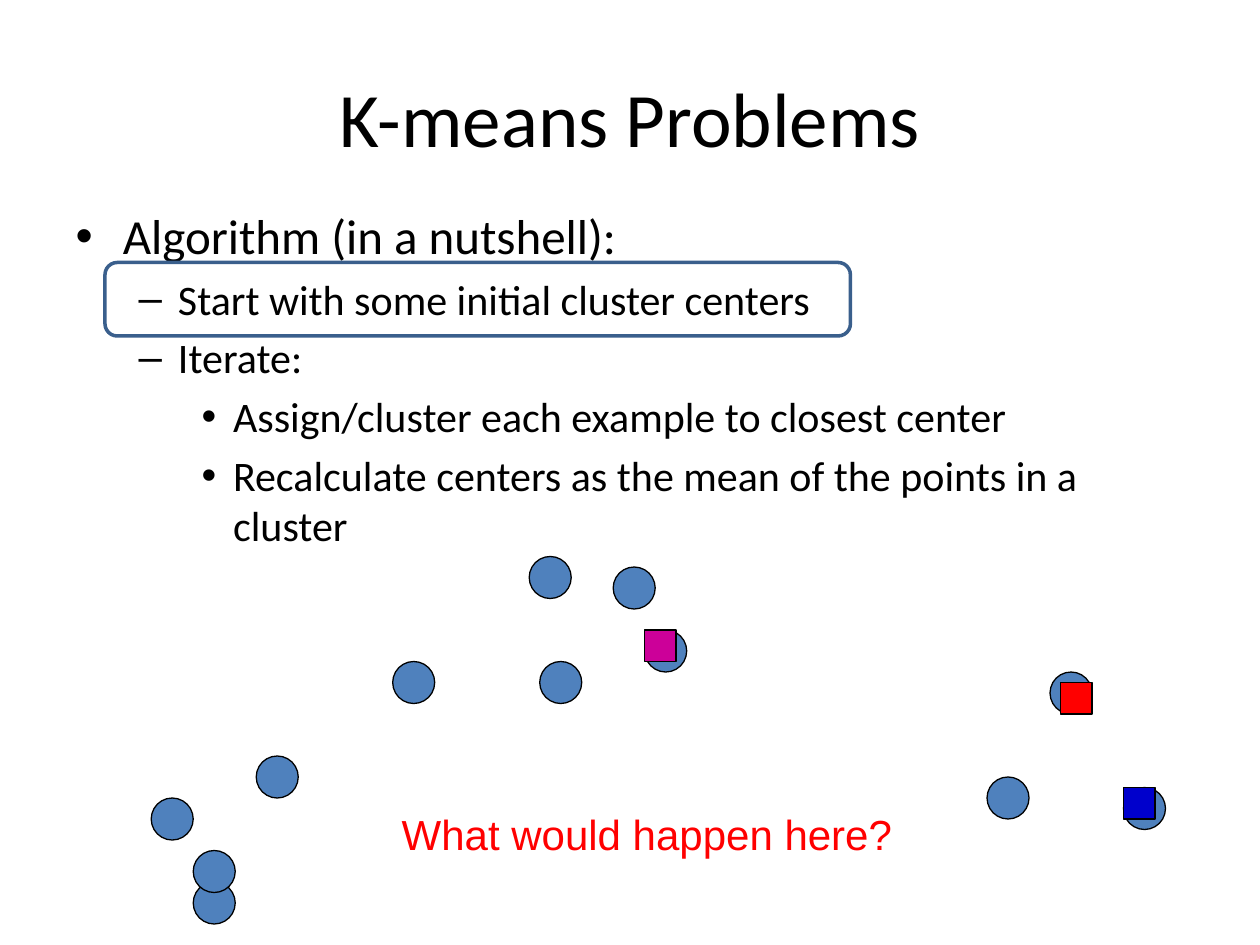
import pptx
import pptx.util
import pptx.dml.color
import pptx.enum.shapes
import pptx.enum.text

Pt = pptx.util.Pt
SHAPES = pptx.enum.shapes.MSO_SHAPE

COLORS = {
    "text": "000000",
    "outline": "000000",
    "highlight": "3A5F8C",
    "point": "4F81BD",
    "blue": "0000CC",
    "red": "FF0000",
    "magenta": "CC0099",
}
ALGORITHM = [
    (0, 28, "Algorithm (in a nutshell):"),
    (1, 24, "Start with some initial cluster centers"),
    (1, 24, "Iterate:"),
    (2, 24, "Assign/cluster each example to closest center"),
    (2, 24, "Recalculate centers as the mean of the points in a cluster"),
]
EXAMPLES = [
    (24, 186), (0, 138), (60, 114), (513.6, 66), (216, 0), (264, 6),
    (222, 60), (138, 60), (555.6, 132), (282, 42), (24, 168), (477.6, 126),
]
CENTERS = [(555.6, 132, "blue"), (519.6, 72, "red"), (282, 42, "magenta")]
EXAMPLE_SIZE = 24
CENTER_SIZE = 18


def rgb(name):
    return pptx.dml.color.RGBColor.from_string(COLORS[name])


def place(item, left, top, width, height):
    item.left, item.top = Pt(left), Pt(top)
    item.width, item.height = Pt(width), Pt(height)


def set_font(paragraph, name, size, color):
    paragraph.font.name = name
    paragraph.font.size = Pt(size)
    paragraph.font.color.rgb = rgb(color)


def add_outlined(slide, preset, box, line, weight, fill=None):
    shape = slide.shapes.add_shape(preset, *map(Pt, box))
    shape.shadow.inherit = False
    if fill:
        shape.fill.solid()
        shape.fill.fore_color.rgb = rgb(fill)
    else:
        shape.fill.background()
    shape.line.color.rgb = rgb(line)
    shape.line.width = Pt(weight)


def fill_title(slide, left, top, width, height):
    title = slide.shapes.title
    place(title, left, top, width, height)
    title.text_frame.text = "K-means Problems"
    set_font(title.text_frame.paragraphs[0], "Calibri", 44, "text")


def fill_algorithm(slide, left, top, width, height):
    algorithm = slide.placeholders[1]
    place(algorithm, left, top, width, height)
    frame = algorithm.text_frame
    frame.text = "\n".join(text for _, _, text in ALGORITHM)
    for step, (level, size, _) in zip(frame.paragraphs, ALGORITHM):
        step.level = level
        set_font(step, "Calibri", size, "text")
    frame.paragraphs[0].space_before = Pt(0)
    highlight = (left + 24, top + 36, 426, 42)
    add_outlined(slide, SHAPES.ROUNDED_RECTANGLE, highlight, "highlight", 2)


def draw_clusters(slide, left, top):
    for x, y in EXAMPLES:
        box = (left + x, top + y, EXAMPLE_SIZE, EXAMPLE_SIZE)
        add_outlined(slide, SHAPES.OVAL, box, "outline", 0.75, "point")
    for x, y, color in CENTERS:
        box = (left + x, top + y, CENTER_SIZE, CENTER_SIZE)
        add_outlined(slide, SHAPES.RECTANGLE, box, "outline", 0.75, color)


def add_question(slide, left, top, width, height):
    question = slide.shapes.add_textbox(*map(Pt, (left, top, width, height)))
    frame = question.text_frame
    frame.word_wrap = True
    frame.auto_size = pptx.enum.text.MSO_AUTO_SIZE.SHAPE_TO_FIT_TEXT
    frame.text = "What would happen here?"
    set_font(frame.paragraphs[0], "Arial", 24, "red")


def main():
    deck = pptx.Presentation()
    deck.slide_width, deck.slide_height = Pt(720), Pt(540)
    slide = deck.slides.add_slide(deck.slide_layouts[1])
    fill_title(slide, 36, 21.6, 648, 90)
    fill_algorithm(slide, 36, 114, 648, 390)
    draw_clusters(slide, 86.4, 318)
    add_question(slide, 222.5, 458.6, 299.5, 36)
    deck.save("out.pptx")


if __name__ == "__main__":
    main()
